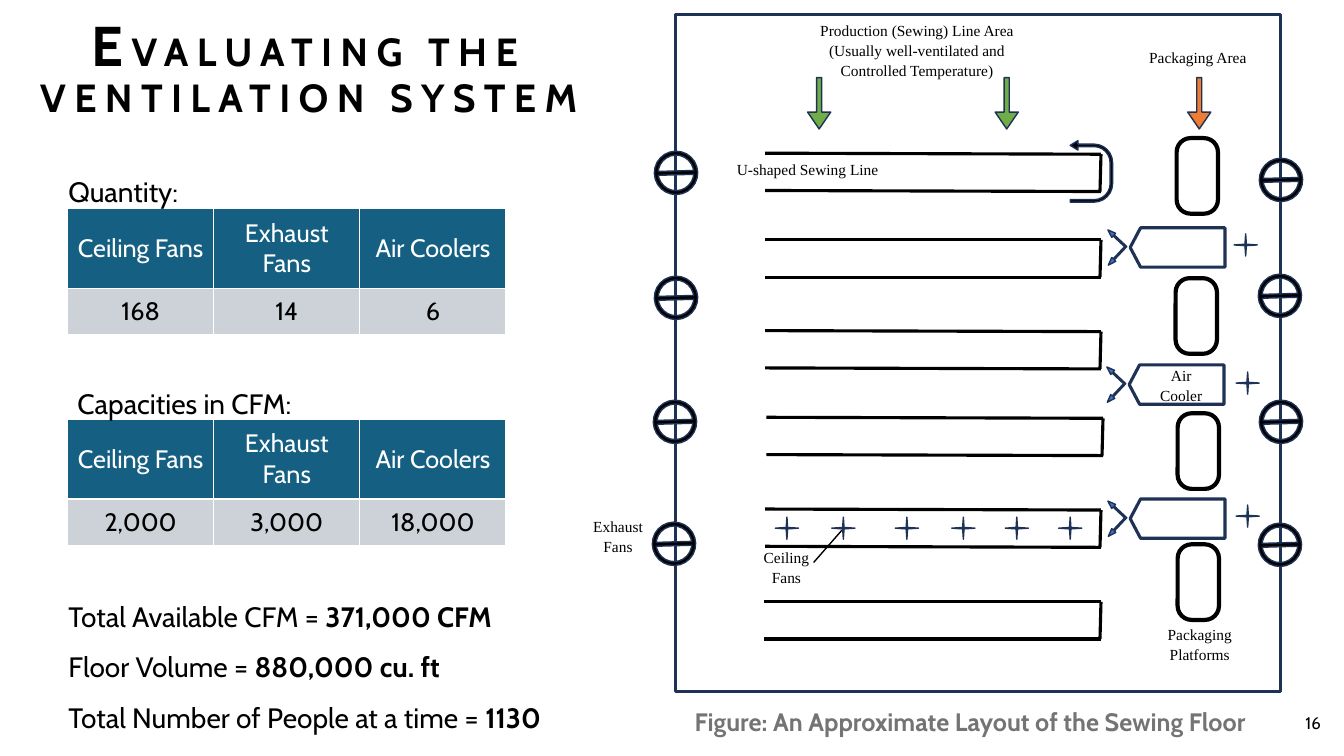
from lxml import etree
from pptx import Presentation
from pptx.dml.color import RGBColor
from pptx.enum.shapes import MSO_CONNECTOR, MSO_SHAPE as SHAPE
from pptx.enum.text import MSO_ANCHOR, PP_ALIGN as ALIGN
from pptx.oxml.ns import qn
from pptx.util import Inches, Pt

COLORS = {
    name: RGBColor.from_string(value)
    for name, value in {
        "black": "000000", "white": "FFFFFF", "navy": "1E3256", "blue": "4472C4",
        "green": "70AD47", "orange": "ED7D31", "header": "156082",
        "cell": "CCD2D8", "gray": "747474",
    }.items()
}

presentation = Presentation()
presentation.slide_width = Inches(13.33)
presentation.slide_height = Inches(7.5)
slide = presentation.slides.add_slide(presentation.slide_layouts[5])


def add_outline(kind, box, fill=None, line="navy", weight=1, adjust=(), rotation=0, flip=None):
    shape = slide.shapes.add_shape(kind, *map(Inches, box))
    shape.shadow.inherit = False
    if fill:
        shape.fill.solid()
        shape.fill.fore_color.rgb = COLORS[fill]
    else:
        shape.fill.background()
    shape.line.color.rgb = COLORS[line]
    shape.line.width = Pt(weight)
    for index, value in enumerate(adjust):
        shape.adjustments[index] = value
    shape.rotation = rotation
    if flip:
        shape._element.spPr.find(qn("a:xfrm")).set(flip, "1")


def add_text(box, paragraphs, size, font="Cabin", color="black", align=ALIGN.LEFT,
             spacing=None, after=0, bold=None, wrap=True):
    """Each paragraph is a list of (text, bold) runs."""
    frame = slide.shapes.add_textbox(*map(Inches, box)).text_frame
    frame.word_wrap = wrap
    for index, runs in enumerate(paragraphs):
        paragraph = frame.paragraphs[0] if index == 0 else frame.add_paragraph()
        paragraph.alignment = align
        paragraph.line_spacing = spacing
        paragraph.space_after = Pt(after)
        paragraph.font.size = Pt(size)
        paragraph.font.name = font
        paragraph.font.bold = bold
        paragraph.font.color.rgb = COLORS[color]
        for text, run_bold in runs:
            run = paragraph.add_run()
            run.text = text
            # Runs carry the format too, so that mixed weights stay consistent
            run.font.bold = run_bold


# Title
title = slide.shapes.title
title.left, title.top, title.width, title.height = map(Inches, (0, 0.13, 6.13, 1.56))
title.text_frame.vertical_anchor = MSO_ANCHOR.TOP
title.text_frame.word_wrap = True
paragraph = title.text_frame.paragraphs[0]
paragraph.alignment = ALIGN.CENTER
paragraph.line_spacing = 0.9
for text, size in (("E", 40), ("VALUATING THE VENTILATION SYSTEM", 28)):
    run = paragraph.add_run()
    run.text = text
    run.font.size = Pt(size)
    run.font.name = "Cabin"
    run.font.bold = True
    run.font.color.rgb = COLORS["black"]
    run.font._element.set("spc", "600")

# Floor outline and U-shaped sewing lines
add_outline(SHAPE.RECTANGLE, (6.7, 0.14, 6, 6.72), weight=2.25)
segments = []
for left, right, top, slant in (
    (7.59, 10.92, 1.52, 0.01), (7.59, 10.92, 2.38, 0), (7.59, 10.92, 3.28, 0.01),
    (7.6, 10.94, 4.14, 0.01), (7.59, 10.92, 5.05, 0.01), (7.58, 10.92, 5.97, 0),
):
    bottom = top + 0.37
    segments += [
        (left, top, right, top + slant, 2.25),
        (right - 0.01, bottom + slant, right, top + slant, 2.25),
        (left, bottom, right, bottom + slant, 2.25),
    ]
segments.append((8.07, 5.58, 8.35, 5.26, 1))  # ceiling fan leader
for *ends, weight in segments:
    connector = slide.shapes.add_connector(MSO_CONNECTOR.STRAIGHT, *map(Inches, ends))
    connector.line.color.rgb = COLORS["black"]
    connector.line.width = Pt(weight)
    etree.SubElement(connector._element.spPr, qn("a:effectLst"))
add_outline(SHAPE.U_TURN_ARROW, (10.52, 1.49, 0.61, 0.42), "black",
            adjust=(0.058, 0.111, 0.181, 0.438, 1), rotation=90, flip="flipH")

# Exhaust fans on both walls
for left, top in (
    (6.49, 1.5), (6.49, 2.74), (6.48, 3.97), (6.47, 5.18),
    (12.49, 1.57), (12.48, 2.72), (12.49, 3.97), (12.48, 5.19),
):
    add_outline(SHAPE.NO_SYMBOL, (left, top, 0.43, 0.43), "black",
                adjust=(0.089,), rotation=313.4)

# Packaging platforms
for left, top in ((11.67, 1.37), (11.66, 2.76), (11.68, 4.1), (11.68, 5.4)):
    add_outline(SHAPE.ROUNDED_RECTANGLE, (left, top, 0.41, 0.75), "white", "black", 3, (0.34,))

# Air coolers with their airflow arrows
for left, top in ((11.21, 2.26), (11.2, 3.62), (11.21, 4.95)):
    add_outline(SHAPE.PENTAGON, (left, top, 0.94, 0.39), weight=2.25,
                adjust=(0.264,), flip="flipH")
    add_outline(SHAPE.LEFT_UP_ARROW, (left - 0.34, top + 0.06, 0.28, 0.27), "blue",
                adjust=(0.056, 0.102, 0.292), rotation=313.1)

# Ceiling fans
ceiling_fans = [(left, 5.13) for left in (7.69, 8.25, 8.88, 9.44, 9.97, 10.5)]
for left, top in ceiling_fans + [(12.24, 2.32), (12.26, 3.69), (12.26, 5.01)]:
    add_outline(SHAPE.QUAD_ARROW, (left, top, 0.23, 0.22), "blue", adjust=(0, 0.031, 0.469))

# Area arrows
for left, fill in ((8.01, "green"), (9.87, "green"), (11.78, "orange")):
    add_outline(SHAPE.UP_ARROW, (left, 0.77, 0.23, 0.51), fill,
                adjust=(0.217, 0.731), flip="flipV")

# Floor labels
for text, box, align in (
    ("Production (Sewing) Line Area (Usually well-ventilated and Controlled Temperature)",
     (7.99, 0.15, 2.21, 0.68), ALIGN.CENTER),
    ("Packaging Area", (11.29, 0.42, 1.18, 0.71), ALIGN.CENTER),
    ("U-shaped Sewing Line", (7.21, 1.53, 2.11, 0.4), ALIGN.JUSTIFY),
    ("Air Cooler", (11.39, 3.57, 0.65, 0.55), ALIGN.CENTER),
    ("Exhaust Fans", (5.75, 5.07, 0.76, 0.48), ALIGN.CENTER),
    ("Ceiling Fans", (7.36, 5.38, 0.88, 0.48), ALIGN.CENTER),
    ("Packaging Platforms", (11.46, 6.14, 0.88, 0.48), ALIGN.CENTER),
):
    add_text(box, [[(text, None)]], 11, "Times New Roman", align=align, spacing=1.07, after=8)

# Quantity and capacity tables
fan_types = ("Ceiling Fans", "Exhaust Fans", "Air Coolers")
for top, values in ((2.07, ("168", "14", "6")), (4.16, ("2,000", "3,000", "18,000"))):
    table = slide.shapes.add_table(2, 3, *map(Inches, (0.67, top, 4.35, 1.25))).table
    for row, (texts, height, fill, color) in enumerate((
        (fan_types, 0.79, "header", "white"), (values, 0.46, "cell", "black"),
    )):
        table.rows[row].height = Inches(height)
        for column, text in enumerate(texts):
            cell = table.cell(row, column)
            cell.text = text
            cell.vertical_anchor = MSO_ANCHOR.MIDDLE
            cell.fill.solid()
            cell.fill.fore_color.rgb = COLORS[fill]
            paragraph = cell.text_frame.paragraphs[0]
            paragraph.alignment = ALIGN.CENTER
            paragraph.font.size = Pt(18)
            paragraph.font.name = "Cabin"
            paragraph.font.bold = False
            paragraph.font.color.rgb = COLORS[color]
add_text((0.58, 1.68, 1.44, 0.44), [[("Quantity:", None)]], 20)
add_text((0.67, 3.79, 2.64, 0.44), [[("Capacities in CFM:", None)]], 20)

# Totals, caption and slide number
totals = (
    ("Total Available CFM = ", "371,000 CFM"),
    ("Floor Volume = ", "880,000 cu. ft"),
    ("Total Number of People at a time = ", "1130"),
)
add_text((0.58, 5.73, 4.98, 1.57), [[(label, False), (value, True)] for label, value in totals],
         20, spacing=1.5, wrap=False)
add_text((6.79, 6.96, 5.91, 0.4),
         [[("Figure: An Approximate Layout of the Sewing Floor", None)]],
         18, color="gray", bold=True, wrap=False)
add_text((10.2, 7.02, 3, 0.4), [[("16", None)]], 12, align=ALIGN.RIGHT)

presentation.save("out.pptx")
